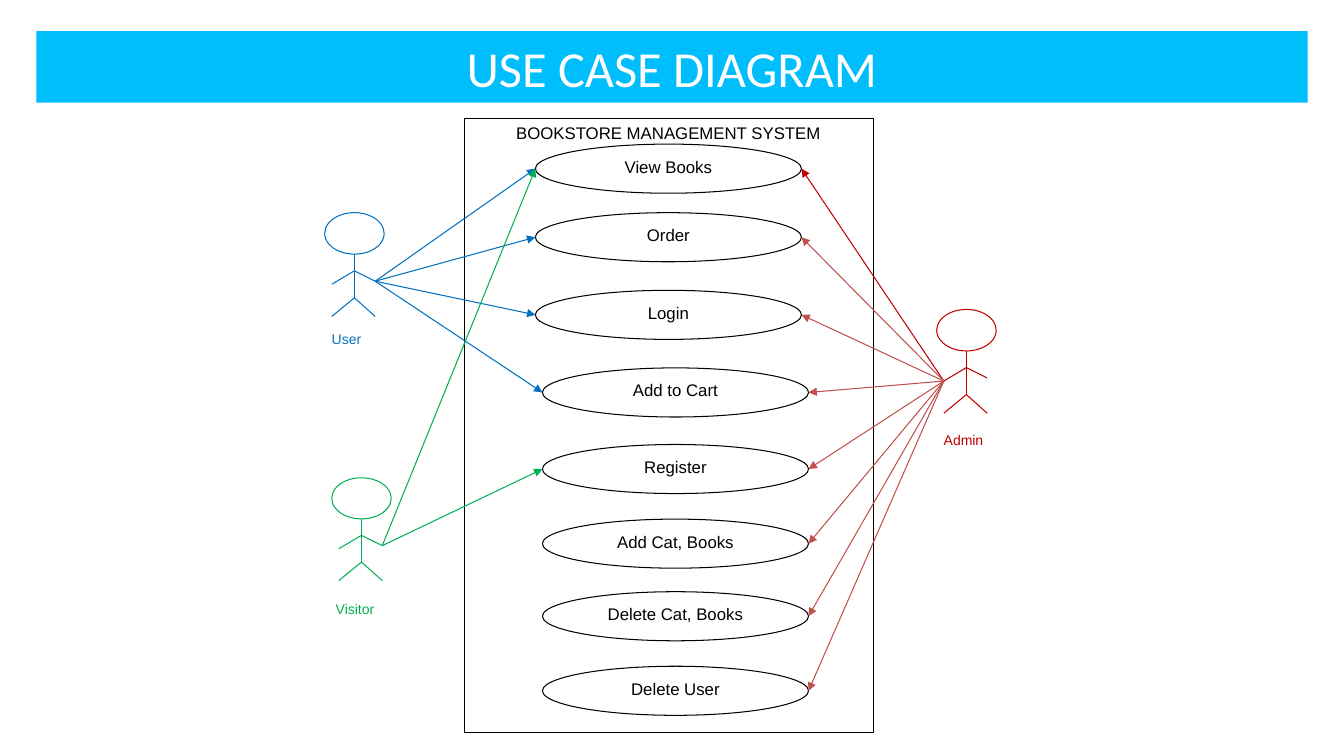
import pptx
import pptx.util
import pptx.dml.color
import pptx.enum.shapes
import pptx.enum.text
import pptx.oxml.ns
import lxml.etree

# The slide is a grid of 133.3 columns by 75 rows
COLS, ROWS = 133.3, 75
BLACK, WHITE, SKY = "000000", "FFFFFF", "00BDFB"
BLUE, GREEN, RED, ROSE = "0070C0", "00B050", "C00000", "C0504D"
SHAPE = pptx.enum.shapes.MSO_SHAPE
ALIGN = pptx.enum.text.PP_ALIGN
ANCHOR = pptx.enum.text.MSO_ANCHOR


def cell(count):
    return pptx.util.Inches(count / 10)


def color(code):
    return pptx.dml.color.RGBColor.from_string(code)


def write(shape, text, size, code, align, anchor, face="Arial"):
    frame = shape.text_frame
    frame.word_wrap = True
    frame.vertical_anchor = anchor
    para = frame.paragraphs[0]
    para.text = text
    para.alignment = align
    para.font.size = pptx.util.Pt(size)
    para.font.name = face
    para.font.color.rgb = color(code)
    return frame


def outline(slide, kind, box, code, width=0.75):
    shape = slide.shapes.add_shape(kind, *map(cell, box))
    shape.shadow.inherit = False
    shape.fill.solid()
    shape.fill.fore_color.rgb = color(WHITE)
    shape.line.color.rgb = color(code)
    shape.line.width = pptx.util.Pt(width)
    return shape


def stroke(slide, start, end, code, arrow=False):
    kind = pptx.enum.shapes.MSO_CONNECTOR.STRAIGHT
    line = slide.shapes.add_connector(kind, *map(cell, start + end))
    line.line.color.rgb = color(code)
    line.line.width = pptx.util.Pt(0.75)
    qn = pptx.oxml.ns.qn
    props = line.element.spPr
    if arrow:
        tail = lxml.etree.SubElement(props.find(qn("a:ln")), qn("a:tailEnd"))
        tail.set("type", "triangle")
    lxml.etree.SubElement(props, qn("a:effectLst"))


# Title bar
def banner(slide, box):
    title = slide.shapes.title
    title.left, title.top, title.width, title.height = map(cell, box)
    title.fill.solid()
    title.fill.fore_color.rgb = color(SKY)
    write(title, "USE CASE DIAGRAM", 36, WHITE, ALIGN.CENTER,
          ANCHOR.MIDDLE, "Calibri")


# System boundary with its use cases; returns the box of each case
def system(slide, box):
    left, top, wide, high = box
    frame = outline(slide, SHAPE.RECTANGLE, box, BLACK, 0.25)
    write(frame, "BOOKSTORE MANAGEMENT SYSTEM", 12, BLACK,
          ALIGN.CENTER, ANCHOR.TOP)
    cases = [("View Books", 7.1, 2.6), ("Order", 7.1, 9.4),
             ("Login", 7.1, 17.1), ("Add to Cart", 7.8, 24.8),
             ("Register", 7.8, 32.4), ("Add Cat, Books", 7.8, 39.8),
             ("Delete Cat, Books", 7.8, 47.0), ("Delete User", 7.8, 54.4)]
    boxes = []
    for name, col, row in cases:
        oval = (left + col, top + row, wide * 0.65, high * 0.08)
        shape = outline(slide, SHAPE.OVAL, oval, BLACK)
        write(shape, name, 12, BLACK, ALIGN.CENTER, ANCHOR.TOP)
        boxes.append(oval)
    return boxes


# Stick figure with its name; returns the left and right hands
def actor(slide, box, name, code, shift, drop):
    left, top, wide, high = box

    def spot(across, down):
        return left + wide * across, top + high * down

    outline(slide, SHAPE.OVAL, (left, top, wide, high * 0.4), code)
    neck, chest, hip = spot(0.5, 0.4), spot(0.5, 0.56), spot(0.5, 0.82)
    hands = spot(0.12, 0.69), spot(0.85, 0.66)
    feet = spot(0.12, 1), spot(0.85, 1)
    stroke(slide, neck, hip, code)
    for hand, foot in zip(hands, feet):
        stroke(slide, chest, hand, code)
        stroke(slide, hip, foot, code)

    label = slide.shapes.add_textbox(
        *map(cell, (left + shift, top + drop, 11.8, 7.7)))
    frame = write(label, name, 10, code, ALIGN.LEFT, ANCHOR.MIDDLE)
    frame.margin_left = frame.margin_right = cell(3)
    frame.margin_top = frame.margin_bottom = cell(3)
    return hands


# Arrows from one hand to the near or far side of the cases
def links(slide, hand, boxes, side, codes):
    for (left, top, wide, high), code in zip(boxes, codes):
        end = (left + wide * side, top + high / 2)
        stroke(slide, hand, end, code, True)


def build():
    deck = pptx.Presentation()
    deck.slide_width, deck.slide_height = cell(COLS), cell(ROWS)
    slide = deck.slides.add_slide(deck.slide_layouts[5])
    banner(slide, (3.6, 3.1, 126.1, 7.1))
    cases = system(slide, (46, 11.7, 40.6, 60.9))
    user = actor(slide, (32.2, 21.1, 5.9, 10.3), "User", BLUE, -2.3, 8.7)
    admin = actor(slide, (92.9, 30.7, 5.9, 10.3), "Admin", RED, -2.3, 9.1)
    guest = actor(slide, (32.9, 47.4, 5.9, 10.2), "Visitor", GREEN, -2.6, 9.2)
    links(slide, user[1], cases[:4], 0, [BLUE] * 4)
    links(slide, admin[0], cases, 1, [RED] + [ROSE] * 7)
    links(slide, guest[1], cases[::4], 0, [GREEN] * 2)
    deck.save("out.pptx")


if __name__ == "__main__":
    build()
